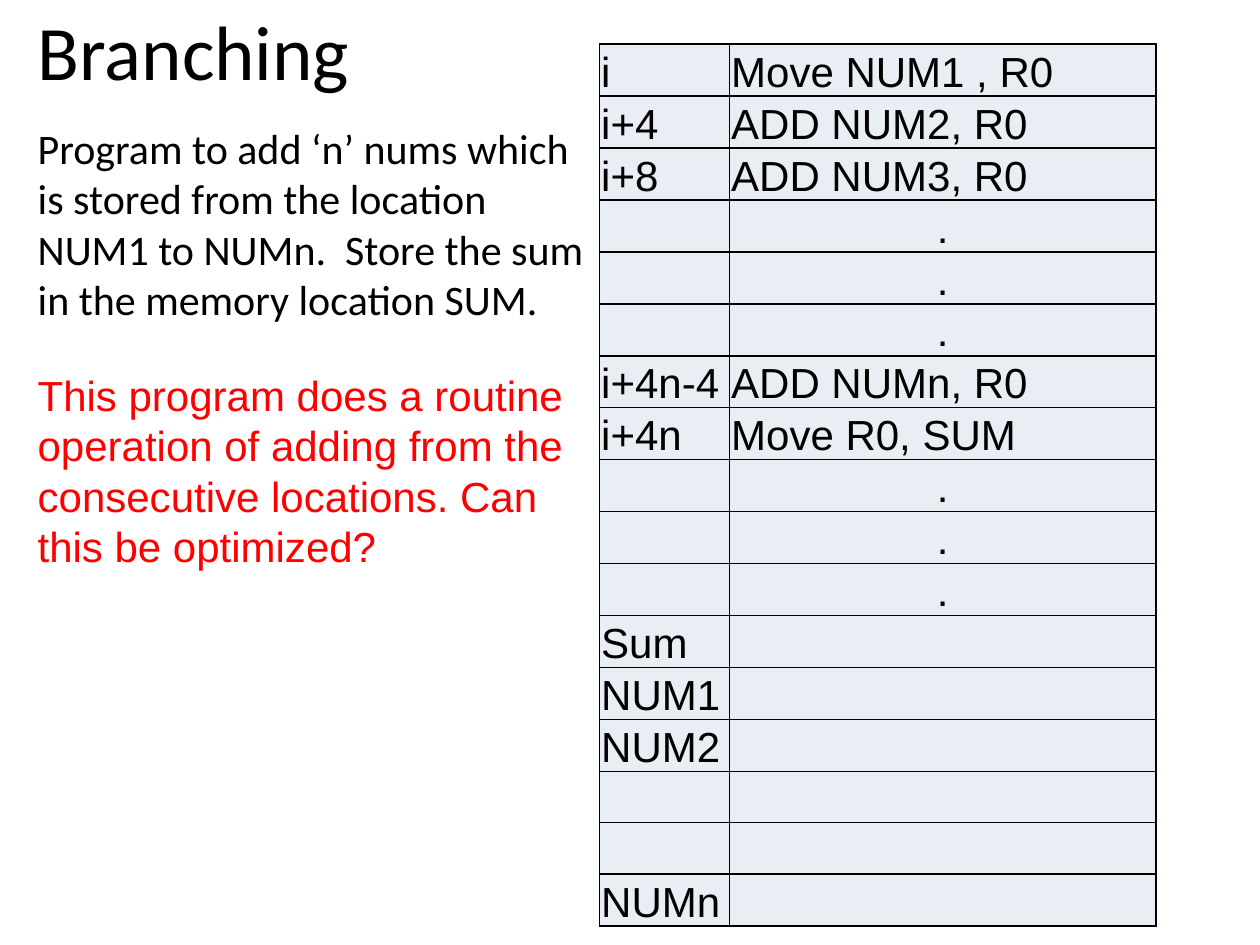
from dataclasses import dataclass

from lxml.etree import SubElement
from pptx import Presentation
from pptx.dml.color import RGBColor
from pptx.enum.text import MSO_ANCHOR, PP_ALIGN
from pptx.oxml.ns import qn
from pptx.util import Cm, Pt


@dataclass(frozen=True)
class Theme:
    ink: str = "000000"
    accent: str = "FF0000"
    cell: str = "E9EDF4"
    heading_font: str = "Calibri"
    table_font: str = "Arial"
    title_size: int = 44
    body_size: int = 24
    border_width: int = 1


@dataclass(frozen=True)
class TextBlock:
    text: str
    left: float
    top: float
    width: float
    height: float
    font: str
    size: int
    color: str
    anchor: MSO_ANCHOR = MSO_ANCHOR.TOP


@dataclass(frozen=True)
class MemoryWord:
    address: str = ""
    content: str = ""


THEME = Theme()

# Text on the left, lengths in centimetres
TEXT_BLOCKS = [
    TextBlock("Branching", 0.51, -0.08, 7.82, 2.16, THEME.heading_font,
              THEME.title_size, THEME.ink, MSO_ANCHOR.MIDDLE),
    TextBlock("Program to add ‘n’ nums which is stored from the location "
              "NUM1 to NUMn.  Store the sum in the memory location SUM.",
              0.51, 2.34, 11.61, 4.37, THEME.heading_font,
              THEME.body_size, THEME.ink),
    TextBlock("This program does a routine operation of adding from the "
              "consecutive locations. Can this be optimized?",
              0.51, 7.32, 11.2, 4.37, THEME.table_font,
              THEME.body_size, THEME.accent),
]

# Memory layout, from the first instruction to the last number
SKIPPED = [MemoryWord(content=".")] * 3
MEMORY = [
    MemoryWord("i", "Move NUM1 , R0"),
    MemoryWord("i+4", "ADD NUM2, R0"),
    MemoryWord("i+8", "ADD NUM3, R0"),
    *SKIPPED,
    MemoryWord("i+4n-4", "ADD NUMn, R0"),
    MemoryWord("i+4n", "Move R0, SUM"),
    *SKIPPED,
    MemoryWord("Sum"),
    MemoryWord("NUM1"),
    MemoryWord("NUM2"),
    MemoryWord(),
    MemoryWord(),
    MemoryWord("NUMn"),
]
TABLE_LEFT, TABLE_TOP, TABLE_HEIGHT = 12.09, 0.89, 17.63
COLUMN_WIDTHS = (2.62, 8.59)


def write_text(para, text: str, *, font: str, size: int, color: str,
               align: PP_ALIGN = PP_ALIGN.LEFT) -> None:
    para.alignment = align
    span = para.add_run()
    span.text = text
    span.font.name = font
    span.font.size = Pt(size)
    span.font.color.rgb = RGBColor.from_string(color)


def add_text_block(page, block: TextBlock) -> None:
    box = page.shapes.add_textbox(Cm(block.left), Cm(block.top),
                                  Cm(block.width), Cm(block.height))
    frame = box.text_frame
    frame.word_wrap = True
    frame.vertical_anchor = block.anchor
    write_text(frame.paragraphs[0], block.text, font=block.font,
               size=block.size, color=block.color)


def add_borders(cell) -> None:
    properties = cell._tc.get_or_add_tcPr()
    for side in ("lnL", "lnR", "lnT", "lnB"):
        line = SubElement(properties, qn(f"a:{side}"),
                          w=str(Pt(THEME.border_width)))
        fill = SubElement(line, qn("a:solidFill"))
        SubElement(fill, qn("a:srgbClr"), val=THEME.ink)


def fill_cell(cell, text: str) -> None:
    add_borders(cell)
    cell.fill.solid()
    cell.fill.fore_color.rgb = RGBColor.from_string(THEME.cell)
    cell.vertical_anchor = MSO_ANCHOR.BOTTOM
    cell.margin_left = cell.margin_right = cell.margin_top = Cm(0.03)
    cell.margin_bottom = Cm(0)
    if text:
        align = PP_ALIGN.CENTER if text == "." else PP_ALIGN.LEFT
        write_text(cell.text_frame.paragraphs[0], text,
                   font=THEME.table_font, size=THEME.body_size,
                   color=THEME.ink, align=align)


def add_memory_table(page, words: list[MemoryWord]) -> None:
    frame = page.shapes.add_table(
        len(words), len(COLUMN_WIDTHS), Cm(TABLE_LEFT), Cm(TABLE_TOP),
        Cm(sum(COLUMN_WIDTHS)), Cm(TABLE_HEIGHT))
    table = frame.table
    table.first_row = table.horz_banding = False
    for column, width in zip(table.columns, COLUMN_WIDTHS):
        column.width = Cm(width)
    for row, word in zip(table.rows, words):
        row.height = Cm(TABLE_HEIGHT / len(words))
        for cell, text in zip(row.cells, (word.address, word.content)):
            fill_cell(cell, text)


def main() -> None:
    deck = Presentation()
    deck.slide_width, deck.slide_height = Cm(25.4), Cm(19.05)
    page = deck.slides.add_slide(deck.slide_layouts[6])
    for block in TEXT_BLOCKS:
        add_text_block(page, block)
    add_memory_table(page, MEMORY)
    deck.save("out.pptx")


if __name__ == "__main__":
    main()
